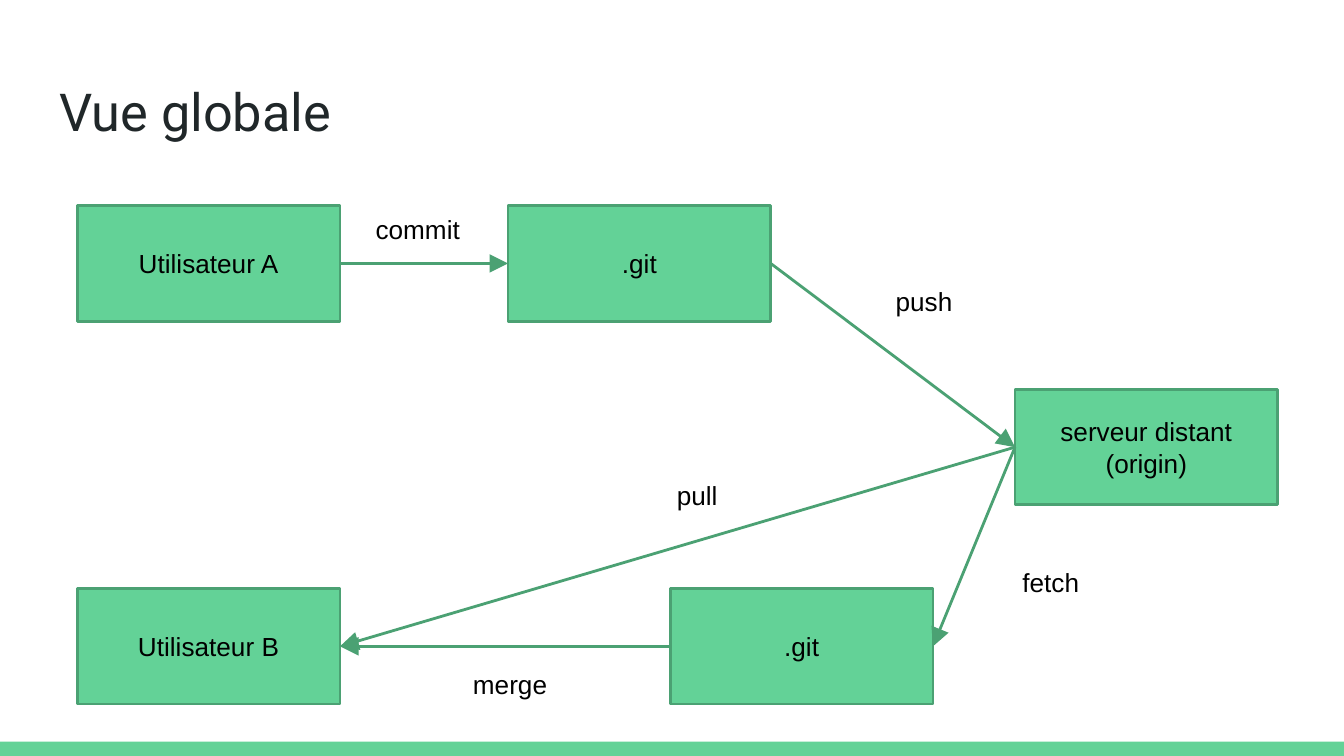
from dataclasses import dataclass

from lxml import etree
from pptx import Presentation
from pptx import util as u
from pptx.dml.color import RGBColor
from pptx.enum import shapes, text
from pptx.oxml.ns import qn

GREEN = RGBColor(0x63, 0xD2, 0x97)
DARK_GREEN = RGBColor(0x4B, 0xA1, 0x73)
INK = RGBColor(0x20, 0x27, 0x29)
BLACK = RGBColor(0, 0, 0)

GRID = 100
NODE_SIZE = (19.55, 15.3)
LABEL_SIZE = (8.9, 5.33)
LEFT_SITE, RIGHT_SITE = 1, 3

NODES = {
    "user_a": ("Utilisateur A", 5.75, 27.2),
    "user_b": ("Utilisateur B", 5.75, 77.85),
    "server": ("serveur distant (origin)", 75.52, 51.5),
    "git_a": (".git", 37.8, 27.2),
    "git_b": (".git", 49.87, 77.85),
}
ARROWS = [
    ("user_a", RIGHT_SITE, "git_a", LEFT_SITE),
    ("git_a", RIGHT_SITE, "server", LEFT_SITE),
    ("server", LEFT_SITE, "git_b", RIGHT_SITE),
    ("git_b", LEFT_SITE, "user_b", RIGHT_SITE),
    ("server", LEFT_SITE, "user_b", RIGHT_SITE),
]
LABELS = [
    ("commit", 26.63, 27.6),
    ("push", 64.3, 37.16),
    ("merge", 33.5, 87.82),
    ("pull", 47.43, 62.8),
    ("fetch", 73.73, 74.27),
]


@dataclass
class Box:
    left: int
    top: int
    width: int
    height: int

    def area(self, column, row, columns, rows):
        return (
            self.left + round(self.width * column / GRID),
            self.top + round(self.height * row / GRID),
            round(self.width * columns / GRID),
            round(self.height * rows / GRID),
        )


def write(shape, wording, font_name, size, color, align, anchor):
    frame = shape.text_frame
    frame.text = wording
    frame.word_wrap = True
    frame.auto_size = text.MSO_AUTO_SIZE.NONE
    frame.vertical_anchor = anchor
    frame.margin_left = frame.margin_right = u.Inches(0.1)
    frame.margin_top = frame.margin_bottom = u.Inches(0.1)
    paragraph = frame.paragraphs[0]
    paragraph.alignment = align
    paragraph.font.name = font_name
    paragraph.font.size = u.Pt(size)
    paragraph.font.color.rgb = color


def write_centered(shape, wording):
    write(shape, wording, "Arial", 14, BLACK,
          text.PP_ALIGN.CENTER, text.MSO_ANCHOR.MIDDLE)


def add_rectangle(slide, area):
    shape = slide.shapes.add_shape(shapes.MSO_SHAPE.RECTANGLE, *area)
    shape.shadow.inherit = False
    shape.fill.solid()
    shape.fill.fore_color.rgb = GREEN
    return shape


def add_node(slide, area, wording):
    node = add_rectangle(slide, area)
    node.line.color.rgb = DARK_GREEN
    node.line.width = u.Pt(1.5)
    write_centered(node, wording)
    return node


def add_arrow(slide, source, source_site, target, target_site):
    arrow = slide.shapes.add_connector(shapes.MSO_CONNECTOR.STRAIGHT, 0, 0, 0, 0)
    arrow.begin_connect(source, source_site)
    arrow.end_connect(target, target_site)
    arrow.line.color.rgb = DARK_GREEN
    arrow.line.width = u.Pt(1.5)
    properties = arrow.element.spPr
    etree.SubElement(properties.find(qn("a:ln")), qn("a:tailEnd"),
                     type="triangle", w="lg", len="lg")
    etree.SubElement(properties, qn("a:effectLst"))


def add_footer_bar(slide, box):
    bar = add_rectangle(slide, box.area(0, 98.1, GRID, 1.9))
    bar.line.fill.background()


def add_title(slide, box):
    title = slide.shapes.title
    title.left, title.top, title.width, title.height = box.area(3.4, 8.65, 93.2, 11.2)
    write(title, "Vue globale", "Roboto", 28, INK,
          text.PP_ALIGN.LEFT, text.MSO_ANCHOR.TOP)


def add_workflow(slide, box):
    nodes = {
        key: add_node(slide, box.area(column, row, *NODE_SIZE), wording)
        for key, (wording, column, row) in NODES.items()
    }
    for source, source_site, target, target_site in ARROWS:
        add_arrow(slide, nodes[source], source_site, nodes[target], target_site)
    for wording, column, row in LABELS:
        label = slide.shapes.add_textbox(*box.area(column, row, *LABEL_SIZE))
        write_centered(label, wording)


def main():
    presentation = Presentation()
    presentation.slide_width = u.Inches(10)
    presentation.slide_height = presentation.slide_width * 9 // 16
    slide = presentation.slides.add_slide(presentation.slide_layouts[5])
    page = Box(0, 0, presentation.slide_width, presentation.slide_height)
    add_footer_bar(slide, page)
    add_title(slide, page)
    add_workflow(slide, page)
    presentation.save("out.pptx")


if __name__ == "__main__":
    main()
